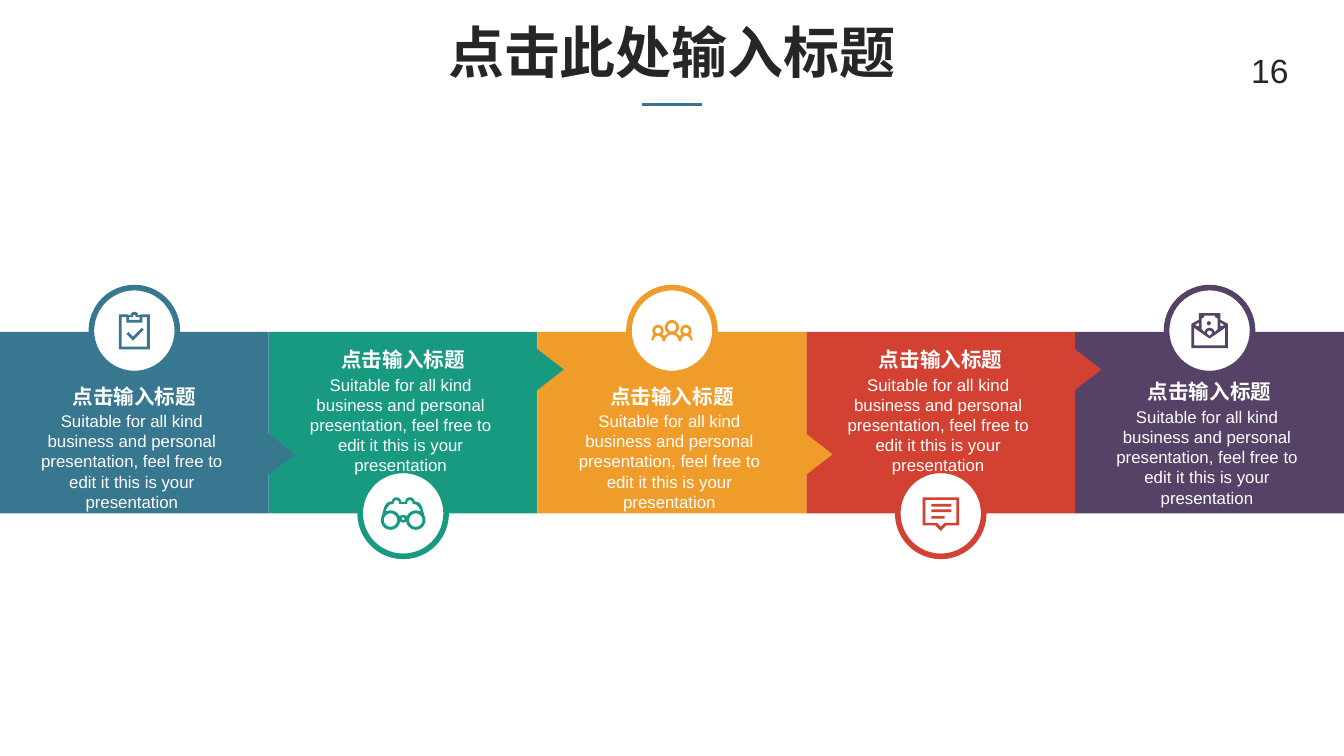
"""Build a five-step ribbon slide with icon badges and captions."""
from dataclasses import dataclass
from math import cos, radians, sin

from lxml.etree import SubElement
from pptx import Presentation
from pptx.dml.color import RGBColor
from pptx.enum.shapes import MSO_CONNECTOR as Connector, MSO_SHAPE as Preset
from pptx.enum.text import MSO_ANCHOR as Anchor, PP_ALIGN as Align
from pptx.oxml.ns import qn
from pptx.util import Inches, Pt

COLORS = {
    "blue": "377790", "green": "189A80", "orange": "F09C2A", "red": "D24132",
    "purple": "564266", "rule": "34758F", "ink": "262626", "white": "FFFFFF",
}
HEADING = "点击输入标题"
BODY = ("Suitable for all kind business and personal presentation, "
        "feel free to edit it this is your presentation")
STEP_WIDTH, BAND_TOP, BAND_HEIGHT, BADGE = 2, 2.47, 1.35, 0.64
UPPER_BADGE, LOWER_BADGE = 2.46, 3.82
UPPER_ARROW, LOWER_ARROW = 2.65, 3.28

Point = tuple[float, float]
Contour = list[Point]


@dataclass(frozen=True)
class Step:
    color: str
    badge_y: float
    heading_top: float
    body_top: float
    arrow_top: float | None
    outlines: list[list[Contour]]
    bars: tuple = ()
    dots: tuple = ()


def rgb(name: str) -> RGBColor:
    return RGBColor.from_string(COLORS[name])


def arc(x: float, y: float, radius: float, start: int = 0, end: int = 360) -> Contour:
    angles = [radians(start + (end - start) * i / 24) for i in range(25)]
    return [(x + radius * cos(a), y + radius * sin(a)) for a in angles]


def binoculars() -> list[Contour]:
    body = [(14, -5), (12, -8), (9, -9), *arc(5, -8.5, 3.5, 0, -180),
            *arc(-5, -8.5, 3.5, 0, -180), (-9, -9), (-12, -8), (-14, -5),
            *arc(-9.4, 5, 7.2, 205, 8), (0, 7), *arc(9.4, 5, 7.2, 172, -25)]
    window = [(-12, -4), (-10, -6.5), (-7, -7), *arc(-5, -7.8, 2, -180, 0), (-3, -7),
              (3, -7), *arc(5, -7.8, 2, -180, 0), (7, -7), (10, -6.5), (12, -4),
              (13, -2), *arc(9.4, 5, 7.2, -65, -155), (0, 1),
              *arc(-9.4, 5, 7.2, -25, -115), (-13, -2)]
    return [body, window, arc(-9.4, 5, 5), arc(9.4, 5, 5), arc(0, 4, 1)]


def people() -> list[Contour]:
    crowd = [*arc(10.4, 0, 4.2, 40, -220), (6, 4), (3.5, 2.3),
             *arc(0, -2.5, 5.3, 50, -230), (-3.5, 2.3), (-6, 4),
             *arc(-10.4, 0, 4.2, 40, -220), (-14.5, 4), (-15.5, 7.3),
             *arc(-10.4, 7.3, 3.3, 180, 360), (-7, 8), (-5, 8),
             *arc(0, 8, 5, 180, 360), (7, 8),
             *arc(10.4, 7.3, 3.3, 180, 360), (15.5, 7.3), (14.5, 4)]
    return [crowd, arc(-10.4, 0, 2.2), arc(0, -2.5, 3.2), arc(10.4, 0, 2.2)]


def clipboard() -> list[Contour]:
    board = [(-11.6, -12), (-5, -12), *arc(0, -11.2, 2.8, 180, 360), (5, -12),
             (11.6, -12), (11.6, 14), (-11.6, 14)]
    clip = [(-4, -10), (-1, -10), *arc(0, -10.8, 1, 180, 360), (1, -10),
            (4, -10), (4, -8), (-4, -8)]
    page = [(-9.4, -10), (-6, -10), (-6, -6), (6, -6), (6, -10), (9.4, -10),
            (9.4, 12), (-9.4, 12)]
    return [board, clip, page]


def envelope() -> list[Contour]:
    cover = [(8, -8), (8, -13), (-8, -13), (-8, -8), (-13.6, -5), (-13.6, 13),
             (13.6, 13), (13.6, -5)]
    letter = [(-6, -9), (-4, -10), (-4, -11), (4, -11), (4, -10), (6, -9),
              (6, -1), (4, 1), *arc(0, 1.8, 3.8, -10, -170), (-4, 1), (-6, -1)]
    flaps = [[(side * 8, -6), (side * 11, -4), (side * 8, -3)] for side in (-1, 1)]
    pocket = [(-11.5, 11), (-11.5, -2), (0, 6), (11.5, -2), (11.5, 11)]
    return [cover, letter, *flaps, [*arc(0, 2, 2, 180, 360), (0, 4)], pocket]


def speech() -> list[Contour]:
    return [[(-13.6, -12), (-13.6, 9), (-4, 9), (0, 13), (4, 9), (13.6, 9), (13.6, -12)],
            [(11.5, 7), (3, 7), (0, 10), (-3, 7), (-11.5, 7), (-11.5, -10), (11.5, -10)]]


STEPS = [
    Step("blue", UPPER_BADGE, 2.83, 3.02, LOWER_ARROW,
         [clipboard(), [[(-1, 4.5), (-4.5, 1), (-6, 2.5), (-1, 7.5), (7, -0.7), (5.5, -2)]]]),
    Step("green", LOWER_BADGE, 2.55, 2.75, UPPER_ARROW, [binoculars()]),
    Step("orange", UPPER_BADGE, 2.83, 3.02, LOWER_ARROW, [people()]),
    Step("red", LOWER_BADGE, 2.55, 2.75, UPPER_ARROW, [speech()],
         bars=((-0.07, -0.07, 0.15), (-0.07, -0.03, 0.15), (-0.07, 0.02, 0.1))),
    Step("purple", UPPER_BADGE, 2.79, 2.99, None, [envelope()],
         dots=((-0.02, -0.07, 0.03),)),
]


def add_preset(slide, preset, left: float, top: float, width: float, height: float,
               fill: str, line: str | None = None):
    shape = slide.shapes.add_shape(preset, *map(Inches, (left, top, width, height)))
    shape.shadow.inherit = False
    shape.fill.solid()
    shape.fill.fore_color.rgb = rgb(fill)
    if line:
        shape.line.color.rgb = rgb(line)
        shape.line.width = Pt(3)
    else:
        shape.line.fill.background()
    return shape


def add_outline(slide, contours: list[Contour], x: float, y: float, color: str) -> None:
    scaled = [[(Inches(px / 100), Inches(py / 100)) for px, py in c] for c in contours]
    builder = slide.shapes.build_freeform(*scaled[0][0])
    for index, contour in enumerate(scaled):
        if index:
            builder.move_to(*contour[0])
        builder.add_line_segments(contour[1:], close=True)
    shape = builder.convert_to_shape(Inches(x), Inches(y))
    shape.shadow.inherit = False
    shape.fill.solid()
    shape.fill.fore_color.rgb = rgb(color)
    shape.line.fill.background()


def write(shape, text: str, size: int, color: str, bold: bool = False,
          align=Align.CENTER, wrap: bool = True, inset: float = 0.07,
          spacing: float = 1) -> None:
    frame = shape.text_frame
    frame.word_wrap = wrap
    frame.margin_left = frame.margin_right = Inches(inset)
    frame.margin_top = frame.margin_bottom = Inches(inset / 2)
    paragraph = frame.paragraphs[0]
    paragraph.alignment = align
    paragraph.line_spacing = spacing
    run = paragraph.add_run()
    run.text = text
    run.font.name = "Arial"
    run.font.size = Pt(size)
    run.font.bold = bold
    run.font.color.rgb = rgb(color)


def add_text(slide, left: float, top: float, width: float, height: float):
    return slide.shapes.add_textbox(*map(Inches, (left, top, width, height)))


def add_header(slide) -> None:
    title = slide.shapes.title
    title.left, title.top, title.width, title.height = map(
        Inches, (0.69, 0.15, 8.62, 0.71))
    title.text_frame.vertical_anchor = Anchor.TOP
    write(title, "点击此处输入标题", 30, "ink", bold=True, spacing=0.9)
    rule = slide.shapes.add_connector(
        Connector.STRAIGHT, *map(Inches, (4.78, 0.78, 5.22, 0.78)))
    rule.line.color.rgb = rgb("rule")
    rule.line.width = Pt(1.5)
    SubElement(rule.element.spPr, qn("a:effectLst"))
    write(add_text(slide, 9.24, 0.34, 0.53, 0.3), "16", 18, "ink", align=Align.LEFT)


def add_band(slide, step: Step, left: float) -> None:
    add_preset(slide, Preset.RECTANGLE, left, BAND_TOP, STEP_WIDTH, BAND_HEIGHT, step.color)
    if step.arrow_top is not None:
        arrow = add_preset(slide, Preset.ISOSCELES_TRIANGLE, left + 1.94,
                           step.arrow_top, 0.31, 0.2, step.color)
        arrow.rotation = 90


def add_content(slide, step: Step, left: float) -> None:
    x, y = left + STEP_WIDTH / 2, step.badge_y
    write(add_text(slide, left + 0.48, step.heading_top, 1.04, 0.24),
          HEADING, 11, "white", bold=True, wrap=False, inset=0.06)
    write(add_text(slide, left + 0.14, step.body_top, 1.68, 0.83), BODY, 9, "white")
    for contours in step.outlines:
        add_outline(slide, contours, x, y, step.color)
    for dx, dy, width in step.bars:
        add_preset(slide, Preset.RECTANGLE, x + dx, y + dy, width, 0.02, step.color)
    for dx, dy, size in step.dots:
        add_preset(slide, Preset.OVAL, x + dx, y + dy, size, size, step.color)


def main() -> None:
    presentation = Presentation()
    presentation.slide_width = Inches(10)
    presentation.slide_height = Inches(10 * 9 / 16)
    slide = presentation.slides.add_slide(presentation.slide_layouts[5])
    add_header(slide)
    placed = [(step, index * STEP_WIDTH) for index, step in enumerate(STEPS)]
    for step, left in reversed(placed):
        add_band(slide, step, left)
    for step, left in placed:
        add_preset(slide, Preset.OVAL, left + (STEP_WIDTH - BADGE) / 2,
                   step.badge_y - BADGE / 2, BADGE, BADGE, "white", step.color)
    for step, left in placed:
        add_content(slide, step, left)
    presentation.save("out.pptx")


if __name__ == "__main__":
    main()
